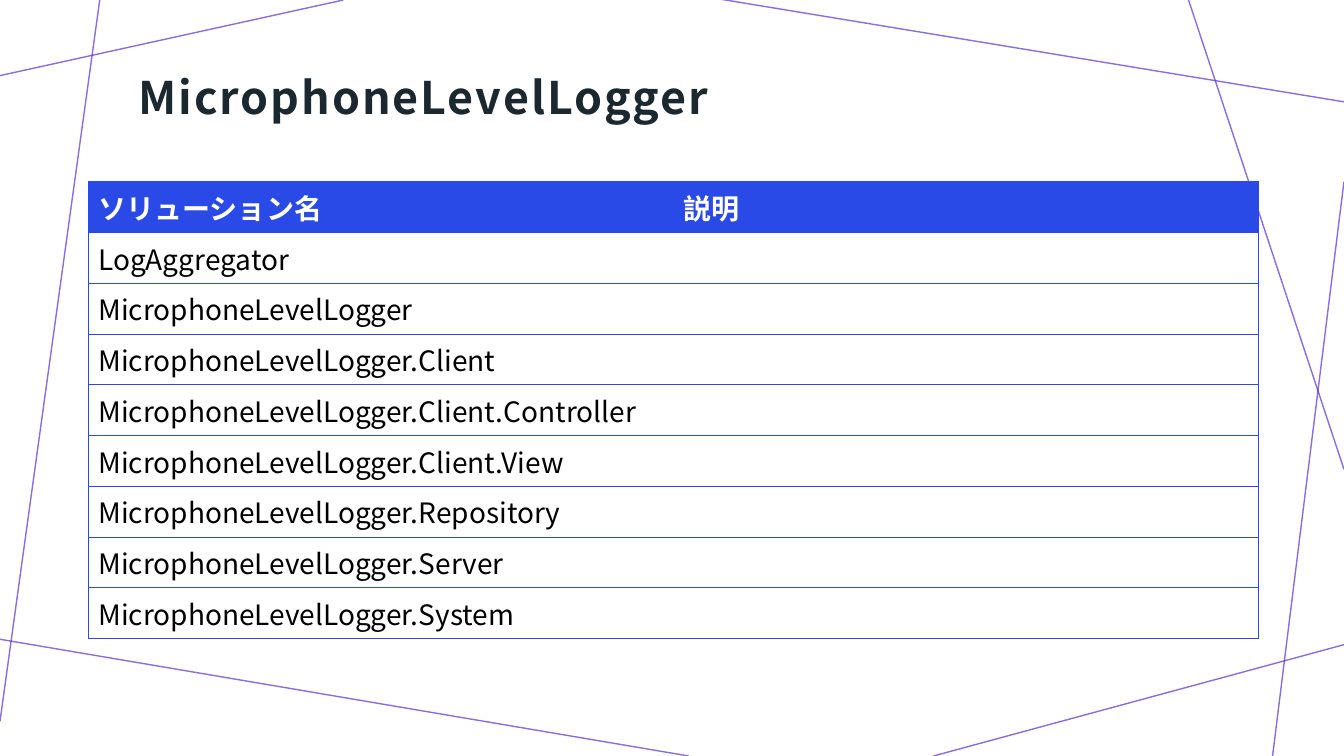
"""Build the MicrophoneLevelLogger slide with its table of solutions."""
from dataclasses import dataclass

from lxml import etree
from pptx import Presentation
from pptx.dml.color import RGBColor
from pptx.enum.shapes import MSO_CONNECTOR
from pptx.enum.text import MSO_ANCHOR, MSO_AUTO_SIZE, PP_ALIGN
from pptx.oxml.ns import qn
from pptx.util import Pt

PX = 9525
STRAIGHT = MSO_CONNECTOR.STRAIGHT
MIDDLE = MSO_ANCHOR.MIDDLE
FIXED = MSO_AUTO_SIZE.NONE
LEFT = PP_ALIGN.LEFT


@dataclass
class Theme:
    font: str = "Noto Sans CJK JP"
    title: str = "1B2830"
    line: str = "592FD9"
    head: str = "294AE7"
    white: str = "FFFFFF"
    black: str = "000000"
    big: int = 32
    small: int = 20


theme = Theme()


def style(font, size, color, bold):
    font.size = Pt(size)
    font.bold = bold
    font.name = theme.font
    font.color.rgb = RGBColor.from_string(color)


def border(cell, side, color):
    edge = etree.SubElement(cell._tc.get_or_add_tcPr(), qn("a:ln" + side), w=str(Pt(0.5)))
    if color:
        fill = etree.SubElement(edge, qn("a:solidFill"))
        etree.SubElement(fill, qn("a:srgbClr"), val=color)
    else:
        etree.SubElement(edge, qn("a:noFill"))


deck = Presentation()
deck.slide_width, deck.slide_height = 1280 * PX, 720 * PX
slide = deck.slides.add_slide(deck.slide_layouts[5])

lines = [
    (327, 0, 0, 72),
    (95, 0, 0, 687),
    (656, 720, -5, 608),
    (1280, 614, 889, 720),
    (1280, 173, 1212, 720),
    (1280, 447, 1132, 0),
    (1280, 97, 685, -1),
]
for ends in lines:
    line = slide.shapes.add_connector(STRAIGHT, *[v * PX for v in ends])
    line.line.width = Pt(1)
    line.line.color.rgb = RGBColor.from_string(theme.line)
    color = line.line._ln.find(".//" + qn("a:srgbClr"))
    etree.SubElement(color, qn("a:alpha"), val="70000")
    etree.SubElement(line._element.spPr, qn("a:effectLst"))

title = slide.shapes.title
title.left, title.top, title.width, title.height = [v * PX for v in (120, 56, 1040, 68)]
frame = title.text_frame
frame.text = "MicrophoneLevelLogger"
frame.word_wrap = True
frame.auto_size = FIXED
frame.vertical_anchor = MIDDLE
frame.margin_left = frame.margin_top = frame.margin_right = 12 * PX
frame.margin_bottom = 10 * PX
para = frame.paragraphs[0]
para.alignment = LEFT
para.line_spacing = 1.05
run = para.runs[0]
style(run.font, theme.big, theme.title, True)
run._r.get_or_add_rPr().set("spc", "140")

rows = [
    ("ソリューション名", "説明"),
    ("LogAggregator", ""),
    ("MicrophoneLevelLogger", ""),
    ("MicrophoneLevelLogger.Client", ""),
    ("MicrophoneLevelLogger.Client.Controller", ""),
    ("MicrophoneLevelLogger.Client.View", ""),
    ("MicrophoneLevelLogger.Repository", ""),
    ("MicrophoneLevelLogger.Server", ""),
    ("MicrophoneLevelLogger.System", ""),
]
table = slide.shapes.add_table(
    len(rows), 2, 84 * PX, 173 * PX, 1114 * PX, 39 * len(rows) * PX
).table
table.horz_banding = False
for r, row in enumerate(rows):
    for c, text in enumerate(row):
        cell = table.cell(r, c)
        cell.text = text
        border(cell, "L", None if c else theme.head)
        border(cell, "R", theme.head if c else None)
        border(cell, "T", theme.head)
        border(cell, "B", theme.head)
        if r == 0:
            cell.fill.solid()
            cell.fill.fore_color.rgb = RGBColor.from_string(theme.head)
        else:
            cell.fill.background()
        for run in cell.text_frame.paragraphs[0].runs:
            style(run.font, theme.small, theme.black if r else theme.white, r == 0)
            east = etree.SubElement(run._r.get_or_add_rPr(), qn("a:ea"))
            east.set("typeface", theme.font)

deck.save("out.pptx")
